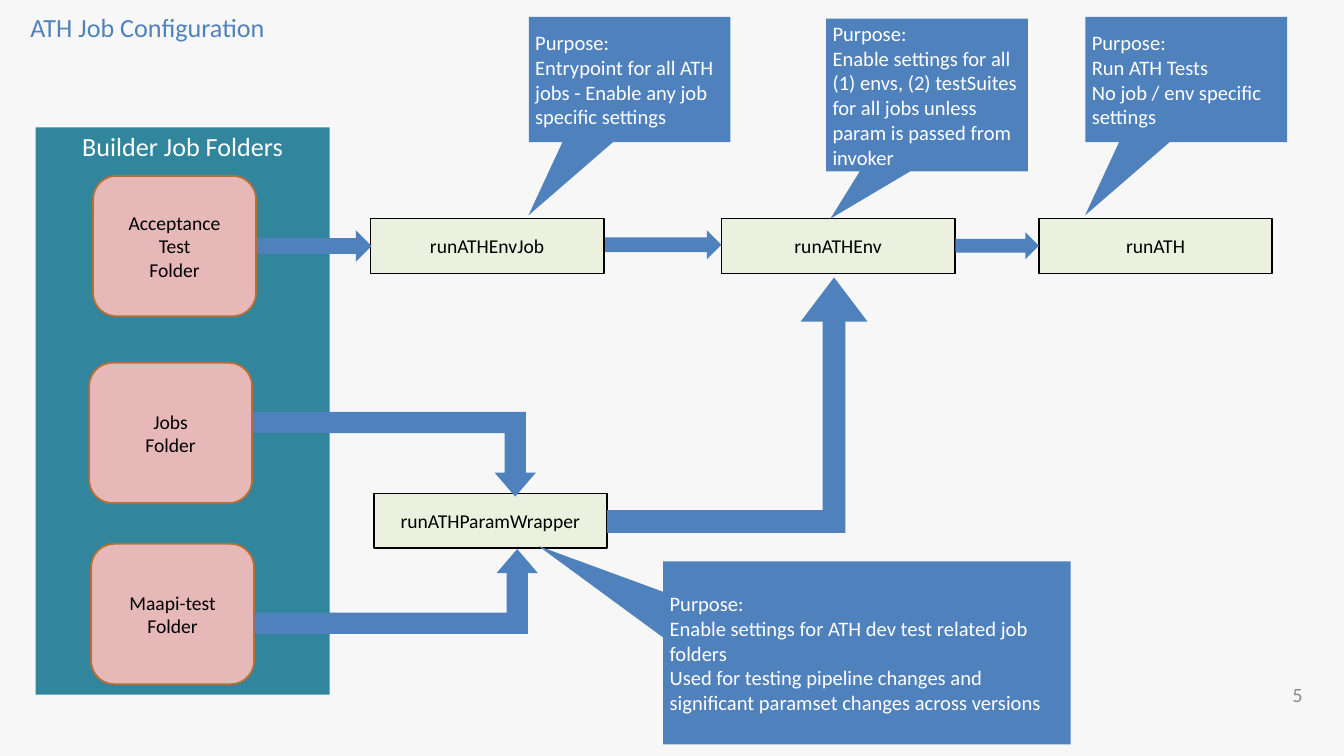
from pptx import Presentation
from pptx.dml.color import RGBColor
from pptx.enum.shapes import MSO_SHAPE as KIND
from pptx.enum.text import MSO_ANCHOR, MSO_AUTO_SIZE, PP_ALIGN
from pptx.util import Inches, Pt

BLUE = RGBColor(0x4F, 0x81, 0xBD)
TEAL = RGBColor(0x31, 0x85, 0x9C)
PINK = RGBColor(0xE6, 0xB9, 0xB8)
RUST = RGBColor(0xB7, 0x6F, 0x34)
GREEN = RGBColor(0xEB, 0xF1, 0xDE)
GREY = RGBColor(0x8C, 0x8C, 0x8C)
PAPER = RGBColor(0xF7, 0xF7, 0xF7)
WHITE = RGBColor(255, 255, 255)
BLACK = RGBColor(0, 0, 0)


def write(shape, text, size=21.8, color=BLACK, align=PP_ALIGN.CENTER,
          anchor=MSO_ANCHOR.MIDDLE, font="Calibri"):
    frame = shape.text_frame
    frame.text = text
    frame.word_wrap = True
    frame.auto_size = MSO_AUTO_SIZE.NONE
    frame.vertical_anchor = anchor
    for para in frame.paragraphs:
        para.alignment = align
        for run in para.runs:
            run.font.size = Pt(size)
            run.font.name = font
            run.font.color.rgb = color


class Board:
    """Holds the current slide and the look of its elements."""

    def __init__(self, deck):
        self.slide = deck.slides.add_slide(deck.slide_layouts[5])
        self.slide.background.fill.solid()
        self.slide.background.fill.fore_color.rgb = PAPER

    def shape(self, kind, box, fill, line=None, adjust=()):
        item = self.slide.shapes.add_shape(kind, *map(Inches, box))
        item.shadow.inherit = False
        item.fill.solid()
        item.fill.fore_color.rgb = fill
        if line is None:
            item.line.fill.background()
        else:
            item.line.color.rgb = line
            item.line.width = Pt(2)
        for i, value in enumerate(adjust):
            item.adjustments[i] = value
        return item

    def title(self, text, box):
        item = self.slide.shapes.title
        item.left, item.top, item.width, item.height = map(Inches, box)
        write(item, text, size=29.1, color=BLUE, align=PP_ALIGN.LEFT)

    def number(self, text, box):
        item = self.slide.shapes.add_textbox(*map(Inches, box))
        write(item, text, size=22.6, color=GREY, align=PP_ALIGN.RIGHT)

    def panel(self, text, box):
        item = self.shape(KIND.RECTANGLE, box, TEAL)
        write(item, text, size=29.1, color=WHITE, anchor=MSO_ANCHOR.TOP)

    def folder(self, text, left, top):
        box = (left, top, 2.52, 2.17)
        write(self.shape(KIND.ROUNDED_RECTANGLE, box, PINK, RUST), text)

    def job(self, text, left, top):
        box = (left, top, 3.61, 0.85)
        write(self.shape(KIND.FLOWCHART_PROCESS, box, GREEN, BLACK), text)

    def arrow(self, box):
        self.shape(KIND.RIGHT_ARROW, box, BLUE)

    def bend(self, box, adjust=(0.25, 0.244, 0.284), flip=False):
        item = self.shape(KIND.BENT_UP_ARROW, box, BLUE, adjust=adjust)
        if flip:
            item._element.spPr.xfrm.set("flipV", "1")

    def note(self, text, box, tip):
        item = self.shape(KIND.RECTANGULAR_CALLOUT, box, BLUE, adjust=tip)
        write(item, "Purpose:\n" + text, size=22.9, color=WHITE,
              align=PP_ALIGN.LEFT)


deck = Presentation()
deck.slide_width, deck.slide_height = Inches(20.79), Inches(11.69)
board = Board(deck)

# Title, page number and folder panel
board.title("ATH Job Configuration", (0.37, 0.1, 6.2, 0.65))
board.number("5", (19.26, 10.43, 0.99, 0.62))
board.panel("Builder Job Folders", (0.55, 1.97, 4.55, 8.77))

# Folders
for text, left, top in (("Acceptance\nTest\nFolder", 1.44, 2.72),
                        ("Jobs\nFolder", 1.38, 5.61),
                        ("Maapi-test Folder", 1.41, 8.41)):
    board.folder(text, left, top)

# Jobs
board.job("runATHParamWrapper", 5.78, 7.63)
for text, left in (("runATHEnvJob", 5.73), ("runATHEnv", 11.16),
                   ("runATH", 16.07)):
    board.job(text, left, 3.38)

# Arrows along the top row
for box in ((3.98, 3.56, 1.77, 0.49), (9.36, 3.56, 1.8, 0.45),
            (14.78, 3.59, 1.29, 0.42)):
    board.arrow(box)

# Bent arrows into and out of the wrapper
board.bend((3.94, 8.49, 4.38, 1.31))
board.bend((3.91, 6.37, 4.38, 1.31), flip=True)
board.bend((9.39, 4.29, 4.03, 3.95), (0.089, 0.131, 0.173))

# Purpose notes
LOW = (-0.502, 1.083)
board.note("Entrypoint for all ATH jobs - Enable any job specific settings",
           (8.18, 0.26, 3.12, 1.94), LOW)
board.note("Enable settings for all (1) envs, (2) testSuites for all jobs "
           "unless param is passed from invoker",
           (12.78, 0.29, 3.12, 2.36), (-0.479, 0.81))
board.note("Run ATH Tests\nNo job / env specific settings",
           (16.79, 0.26, 3.12, 1.94), LOW)
board.note("Enable settings for ATH dev test related job folders\n"
           "Used for testing pipeline changes and significant paramset "
           "changes across versions",
           (10.26, 8.68, 6.3, 2.83), (-0.806, -0.583))

deck.save("out.pptx")
